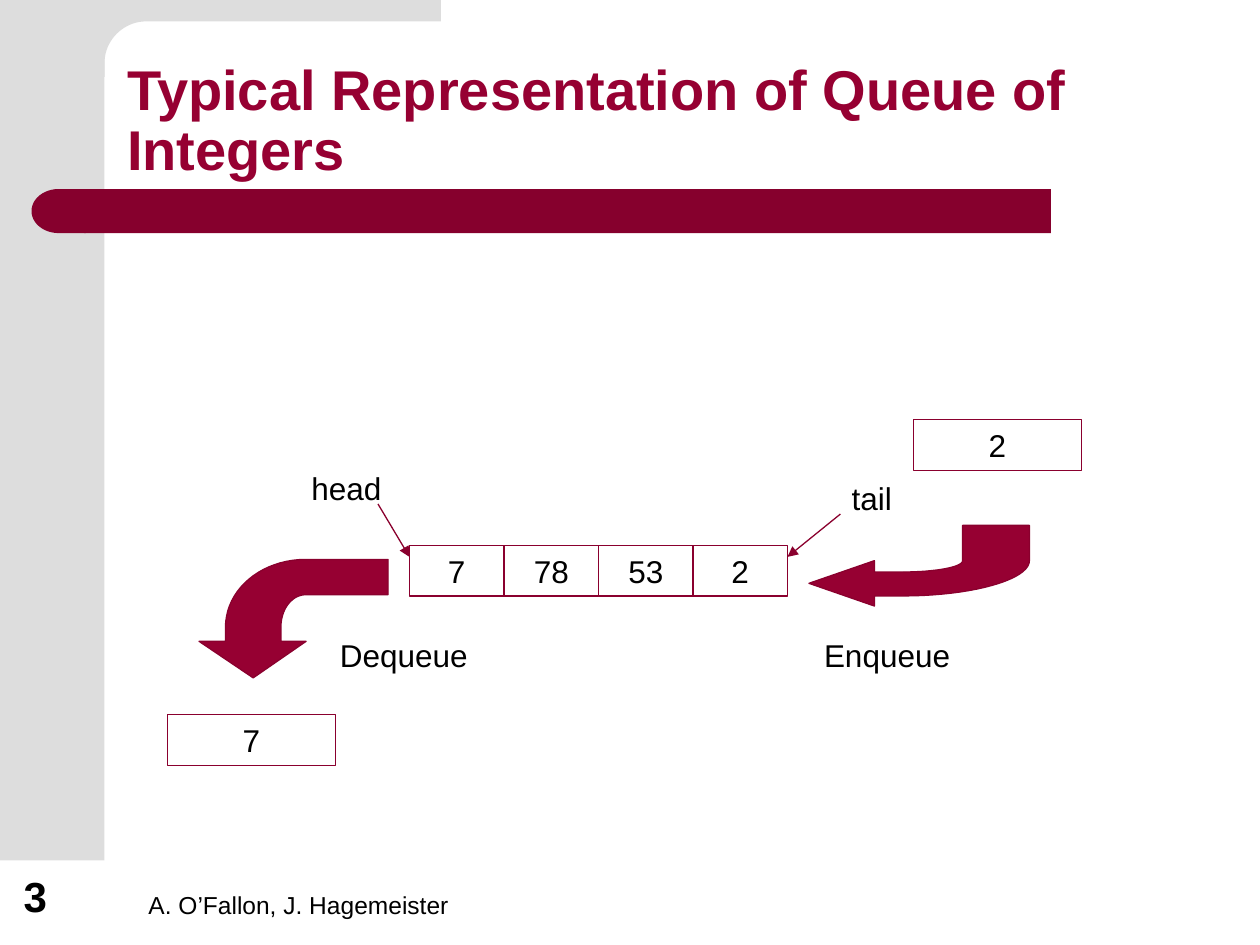
from lxml import etree
from pptx import Presentation
from pptx import util as u
from pptx.dml.color import RGBColor
from pptx.enum import shapes, text
from pptx.oxml.ns import qn

COLORS = {"side": "DDDDDD", "bar": "86002D", "main": "960032", "line": "8A002E", "ink": "000000"}
CORNER = [(3.5, 0), (3.5, 0.17), (1.16, 0.17),
          ((0.98, 0.17), (0.83, 0.32), (0.83, 0.5)),
          (0.83, 0.61), (0.5, 0.61), (0.5, 0)]
ENQUEUE_ARROW = [(6.42, 4.63), (6.94, 4.81), (6.94, 4.73), (7.16, 4.73),
                 ((7.72, 4.73), (8.17, 4.6), (8.17, 4.45)),
                 (8.17, 4.17), (7.64, 4.17), (7.64, 4.45),
                 ((7.64, 4.5), (7.43, 4.54), (7.16, 4.54)),
                 (6.94, 4.54), (6.94, 4.45)]
DEQUEUE_ARROW = [(2.01, 5.38), (1.58, 5.09), (1.79, 5.09), (1.79, 4.98),
                 ((1.79, 4.68), (2.07, 4.44), (2.43, 4.44)),
                 (3.08, 4.44), (3.08, 4.72), (2.43, 4.72),
                 ((2.32, 4.72), (2.23, 4.83), (2.23, 4.98)),
                 (2.23, 5.09), (2.43, 5.09)]


def color(name):
    """Look up a named color."""
    return RGBColor.from_string(COLORS[name])


def style(shape, fill=None, line=None, width=0.75):
    """Set the fill and outline of a shape and drop its shadow."""
    shape.shadow.inherit = False
    if fill:
        shape.fill.solid()
        shape.fill.fore_color.rgb = color(fill)
    else:
        shape.fill.background()
    if line:
        shape.line.color.rgb = color(line)
        shape.line.width = u.Pt(width)
    else:
        shape.line.fill.background()


def write(shape, words, size=18, ink="ink", bold=False, align=text.PP_ALIGN.CENTER,
          anchor=text.MSO_ANCHOR.TOP, spacing=None):
    """Write one paragraph into a shape."""
    frame = shape.text_frame
    frame.word_wrap = True
    frame.vertical_anchor = anchor
    para = frame.paragraphs[0]
    para.text = words
    para.alignment = align
    para.line_spacing = spacing
    para.font.name = "Arial"
    para.font.size = u.Pt(size)
    para.font.bold = bold
    para.font.color.rgb = color(ink)


def add_preset(slide, kind, at, **look):
    """Add a styled preset shape."""
    shape = slide.shapes.add_shape(kind, *map(u.Inches, at))
    style(shape, **look)
    return shape


def add_text(slide, at, words, **look):
    """Add a text box."""
    write(slide.shapes.add_textbox(*map(u.Inches, at)), words, **look)


def add_bottom_text(slide, at, words, **look):
    """Add a left-aligned text box that sits on its bottom edge."""
    add_text(slide, at, words, align=text.PP_ALIGN.LEFT,
             anchor=text.MSO_ANCHOR.BOTTOM, **look)


def add_value(slide, left, top, width, words, line_width):
    """Add an outlined box holding one integer."""
    box = add_preset(slide, shapes.MSO_SHAPE.RECTANGLE, (left, top, width, 0.4),
                     line="line", width=line_width)
    write(box, words)


def curve(start, first, second, end, steps=20):
    """List points along a cubic curve."""
    points = []
    for step in range(1, steps + 1):
        t = step / steps
        weights = ((1 - t) ** 3, 3 * t * (1 - t) ** 2, 3 * t * t * (1 - t), t ** 3)
        points.append(tuple(sum(w * p[axis] for w, p in zip(weights, (start, first, second, end)))
                            for axis in (0, 1)))
    return points


def add_outline(slide, outline, **look):
    """Add a closed freeform whose triples are cubic curves."""
    points = []
    for part in outline:
        points += curve(points[-1], *part) if len(part) == 3 else [part]
    points = [(u.Inches(x), u.Inches(y)) for x, y in points]
    builder = slide.shapes.build_freeform(*points[0])
    builder.add_line_segments(points[1:], close=True)
    style(builder.convert_to_shape(), **look)


def add_pointer(slide, start, end):
    """Add a thin line with an arrowhead at its end."""
    pointer = slide.shapes.add_connector(shapes.MSO_CONNECTOR.STRAIGHT,
                                         *map(u.Inches, start + end))
    pointer.line.color.rgb = color("line")
    pointer.line.width = u.Pt(0.75)
    etree.SubElement(pointer.line._get_or_add_ln(), qn("a:tailEnd"), type="triangle")
    etree.SubElement(pointer._element.spPr, qn("a:effectLst"))


def add_frame(slide):
    """Add the side panel, title bar, title and footer."""
    add_preset(slide, shapes.MSO_SHAPE.RECTANGLE, (0, 0, 0.83, 6.83), fill="side")
    add_outline(slide, CORNER, fill="side")
    add_preset(slide, shapes.MSO_SHAPE.RECTANGLE, (0.67, 1.5, 7.67, 0.35), fill="bar")
    cap = add_preset(slide, shapes.MSO_SHAPE.FLOWCHART_DELAY, (0.25, 1.5, 0.43, 0.35), fill="bar")
    cap.rotation = 180
    add_bottom_text(slide, (1.08, 6.83, 3.75, 0.52), "A. O’Fallon, J. Hagemeister", size=14)
    add_bottom_text(slide, (0.09, 6.83, 0.64, 0.53), "3", size=24, bold=True)
    add_bottom_text(slide, (0.91, 0.41, 8.51, 1.09), "Typical Representation of Queue of Integers",
                    size=32, ink="main", bold=True, spacing=0.9)


def add_queue(slide):
    """Add the queue, its pointers and both operations."""
    add_value(slide, 7.25, 3.33, 1.33, "2", 0.25)
    add_value(slide, 1.33, 5.67, 1.33, "7", 0.25)
    for index, words in enumerate(("7", "78", "53", "2")):
        add_value(slide, 3.25 + 0.75 * index, 4.33, 0.75, words, 0.75)
    for left, top, width, words in ((2.58, 5, 1.25, "Dequeue"), (6.33, 5, 1.42, "Enqueue"),
                                    (2.25, 3.67, 1, "head"), (6.42, 3.75, 1, "tail")):
        add_text(slide, (left, top, width, 0.4), words)
    add_pointer(slide, (3, 4), (3.25, 4.42))
    add_pointer(slide, (6.67, 4.08), (6.25, 4.42))
    for outline in (ENQUEUE_ARROW, DEQUEUE_ARROW):
        add_outline(slide, outline, fill="main", line="line")


def main():
    """Build and save the slide."""
    deck = Presentation()
    deck.slide_width, deck.slide_height = u.Inches(10), u.Inches(7.5)
    slide = deck.slides.add_slide(deck.slide_layouts[6])
    add_frame(slide)
    add_queue(slide)
    deck.save("out.pptx")


if __name__ == "__main__":
    main()
